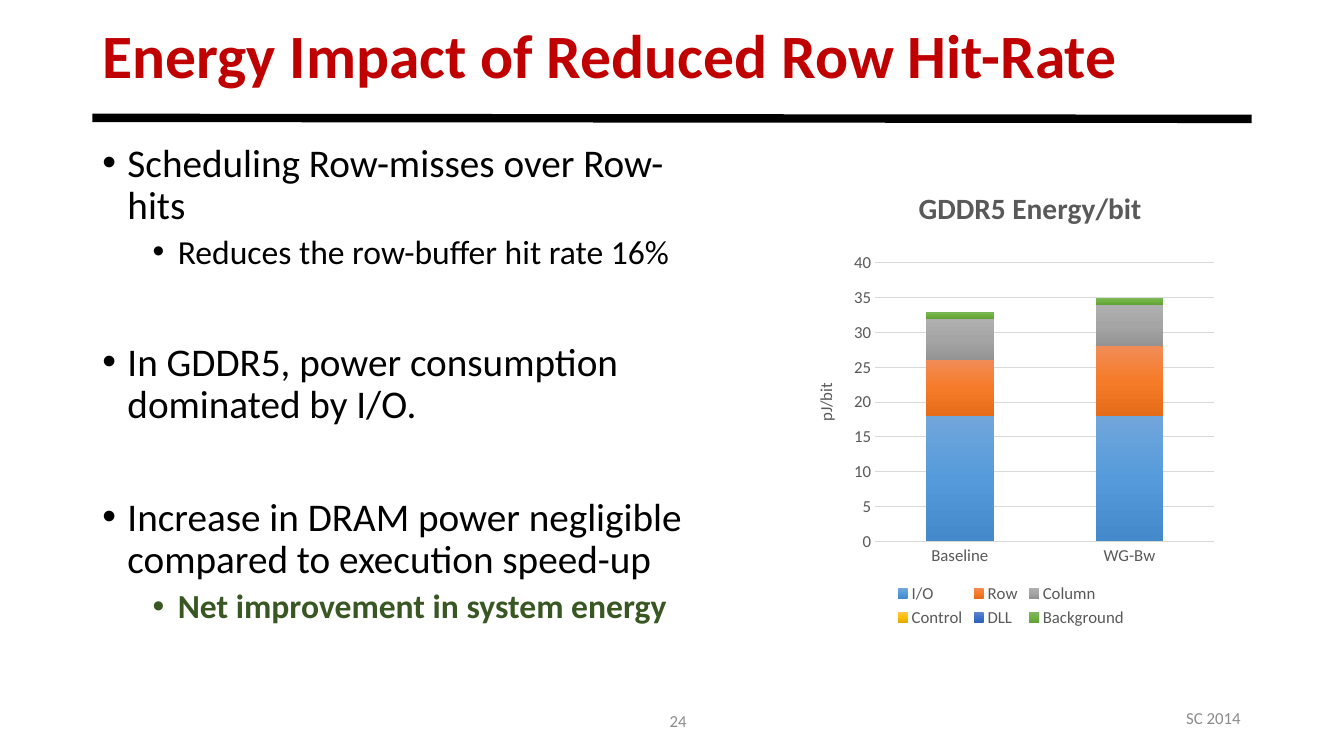
from lxml import etree
from pptx import Presentation
from pptx.chart.data import CategoryChartData
from pptx.dml.color import RGBColor
from pptx.enum.chart import XL_CHART_TYPE as ChartType, XL_LEGEND_POSITION as LegendSpot
from pptx.enum.chart import XL_TICK_MARK as TickMark
from pptx.enum.shapes import MSO_CONNECTOR as Connector
from pptx.enum.text import MSO_ANCHOR as Anchor, PP_ALIGN as Align
from pptx.oxml import parse_xml
from pptx.oxml.ns import nsdecls, qn
from pptx.util import Pt

FONT = "Calibri"
COLOURS = {
    "title": "C00000", "text": "000000", "accent": "385723",
    "footer": "8C8C8C", "label": "595959", "grid": "D9D9D9",
}
BULLETS = [
    (0, 10, "Scheduling Row-misses over Row-hits"),
    (1, 5, "Reduces the row-buffer hit rate 16%"),
    (0, 50.5, "In GDDR5, power consumption dominated by I/O."),
    (0, 50.5, "Increase in DRAM power negligible compared to execution speed-up"),
    (1, 5, "Net improvement in system energy"),
]
CATEGORIES = ["Baseline", "WG-Bw"]
ENERGY = [
    ("I/O", (18, 18), ("71A6DB", "559BDB", "448ACA")),
    ("Row", (8, 10), ("F18C57", "F67B28", "E56C19")),
    ("Column", (6, 6), ("AFAFAF", "A5A5A5", "939393")),
    ("Control", (0, 0), ("FFC64B", "FFC000", "E3AB00")),
    ("DLL", (0, 0), ("6183CB", "3E70CA", "3062BB")),
    ("Background", (1, 1), ("81B861", "6FB242", "62A336")),
]


def colour(name):
    return RGBColor.from_string(COLOURS[name])


def style_font(font, size, name, bold=False):
    font.name = FONT
    font.size = Pt(size)
    font.bold = bold
    font.color.rgb = colour(name)


def add_span(para, text, size, name, bold=False):
    span = para.add_run()
    span.text = text
    style_font(span.font, size, name, bold)


def add_box(page, left, top, width, height, anchor):
    box = page.shapes.add_textbox(Pt(left), Pt(top), Pt(width), Pt(height))
    frame = box.text_frame
    frame.word_wrap = True
    frame.vertical_anchor = anchor
    return frame


def add_label(page, place, text, size, name, align=Align.LEFT, bold=False, spacing=1.0):
    para = add_box(page, *place, Anchor.MIDDLE).paragraphs[0]
    para.alignment = align
    para.line_spacing = spacing
    add_span(para, text, size, name, bold)


def add_bullets(page, place, bullets):
    frame = add_box(page, *place, Anchor.TOP)
    for index, (level, gap, text) in enumerate(bullets):
        para = frame.add_paragraph() if index else frame.paragraphs[0]
        para.level = level
        para.line_spacing = 0.9
        para.space_before = Pt(gap)
        closing = index == len(bullets) - 1
        add_span(para, text, 24 if level else 28, "accent" if closing else "text", closing)
        props = para._p.get_or_add_pPr()
        props.set("marL", str(Pt(18 + 36 * level)))
        props.set("indent", str(-Pt(18)))
        etree.SubElement(props, qn("a:buFont")).set("typeface", "Arial")
        etree.SubElement(props, qn("a:buChar")).set("char", "•")


def add_rule(page, start, end, width):
    rule = page.shapes.add_connector(Connector.STRAIGHT, *map(Pt, start + end))
    rule.line.color.rgb = colour("text")
    rule.line.width = Pt(width)
    etree.SubElement(rule._element.spPr, qn("a:effectLst"))


def place_part(part, index, **fractions):
    for old in part.findall(qn("c:layout")):
        part.remove(old)
    layout = etree.Element(qn("c:layout"))
    manual = etree.SubElement(layout, qn("c:manualLayout"))
    settings = {"xMode": "edge", "yMode": "edge", **fractions}
    if "w" in fractions:
        settings = {"layoutTarget": "inner", **settings}
    for key, value in settings.items():
        etree.SubElement(manual, qn(f"c:{key}")).set("val", str(value))
    part.insert(index, layout)


def fill_gradient(series, shades):
    stops = "".join(
        f'<a:gs pos="{step * 50000}"><a:srgbClr val="{shade}"/></a:gs>'
        for step, shade in enumerate(shades)
    )
    series._element.get_or_add_spPr().append(parse_xml(
        f'<a:gradFill {nsdecls("a")} rotWithShape="1"><a:gsLst>{stops}</a:gsLst>'
        '<a:lin ang="5400000" scaled="0"/></a:gradFill>'
    ))


def style_axis(axis):
    axis.major_tick_mark = TickMark.NONE
    axis.minor_tick_mark = TickMark.NONE
    style_font(axis.tick_labels.font, 12, "label")


def add_energy_chart(page, place):
    data = CategoryChartData()
    data.categories = CATEGORIES
    for name, values, _ in ENERGY:
        data.add_series(name, values)
    chart = page.shapes.add_chart(ChartType.COLUMN_STACKED, *map(Pt, place), data).chart
    style_font(chart.font, 10, "text")

    chart.has_title = True
    add_span(chart.chart_title.text_frame.paragraphs[0], "GDDR5 Energy/bit", 21, "label", True)
    place_part(chart.chart_title._element, 1, x=0.27, y=0)

    plot = chart.plots[0]
    plot.gap_width = 150
    plot.overlap = 100
    plot.vary_by_categories = False
    for series, (_, _, shades) in zip(plot.series, ENERGY):
        fill_gradient(series, shades)

    categories, values = chart.category_axis, chart.value_axis
    style_axis(categories)
    categories.format.line.color.rgb = colour("grid")
    categories.format.line.width = Pt(1)
    style_axis(values)
    values.minimum_scale, values.maximum_scale, values.major_unit = 0, 40, 5
    values.format.line.fill.background()
    values.major_gridlines.format.line.color.rgb = colour("grid")
    values.major_gridlines.format.line.width = Pt(0.75)
    add_span(values.axis_title.text_frame.paragraphs[0], "pJ/bit", 12, "label")
    place_part(values.axis_title._element, 1, x=0.03, y=0.44)
    place_part(chart._chartSpace.chart.plotArea, 0, x=0.18, y=0.18, w=0.8, h=0.62)

    chart.has_legend = True
    chart.legend.position = LegendSpot.BOTTOM
    chart.legend.include_in_layout = False
    style_font(chart.legend.font, 12, "label")


def main():
    deck = Presentation()
    deck.slide_width, deck.slide_height = Pt(960), Pt(540)
    page = deck.slides.add_slide(deck.slide_layouts[6])
    add_label(page, (66, 12, 828, 60), "Energy Impact of Reduced Row Hit-Rate", 44, "title",
              bold=True, spacing=0.9)
    add_bullets(page, (66, 99, 448, 398), BULLETS)
    add_rule(page, (66, 84.2), (894, 84.9), 6)
    add_label(page, (839, 498.5, 55.5, 29), "SC 2014", 12, "footer", Align.CENTER)
    add_label(page, (463, 500.5, 34.5, 29), "24", 12, "footer", Align.RIGHT)
    add_energy_chart(page, (570.5, 130, 303, 321))
    deck.save("out.pptx")


if __name__ == "__main__":
    main()
